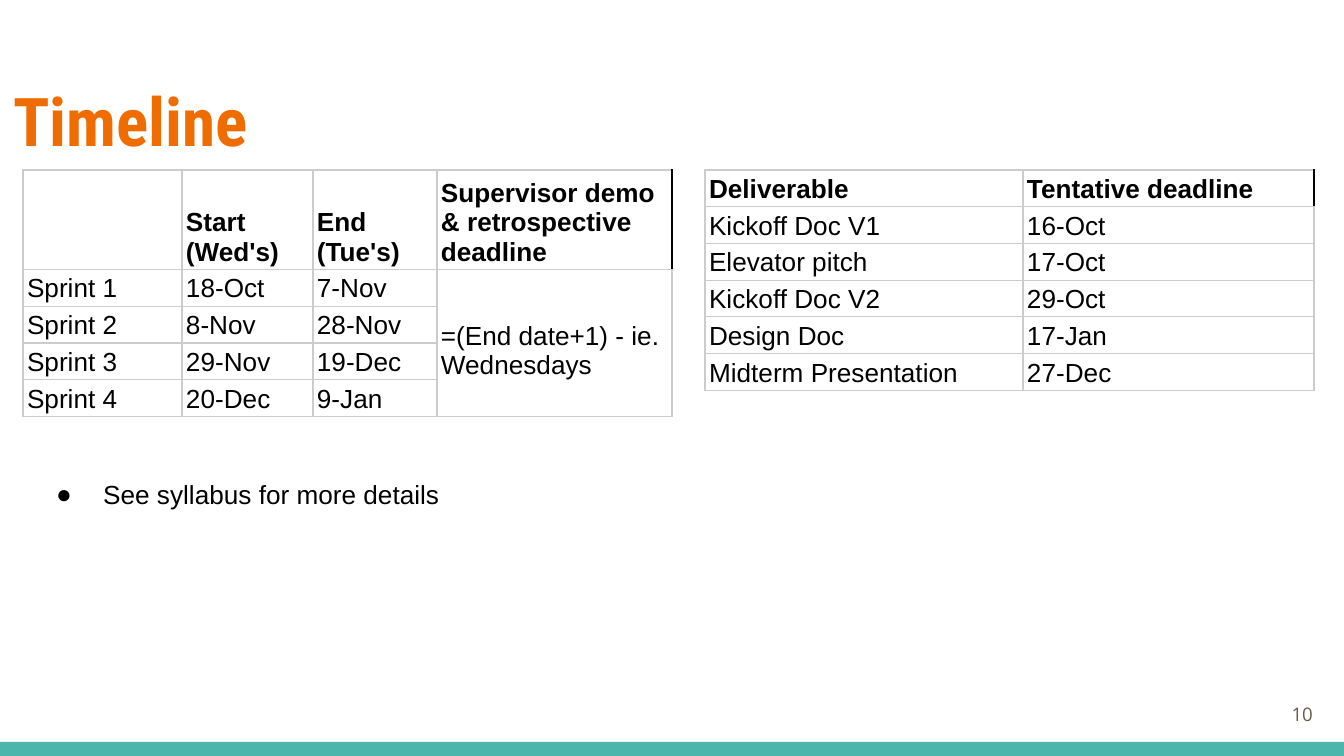
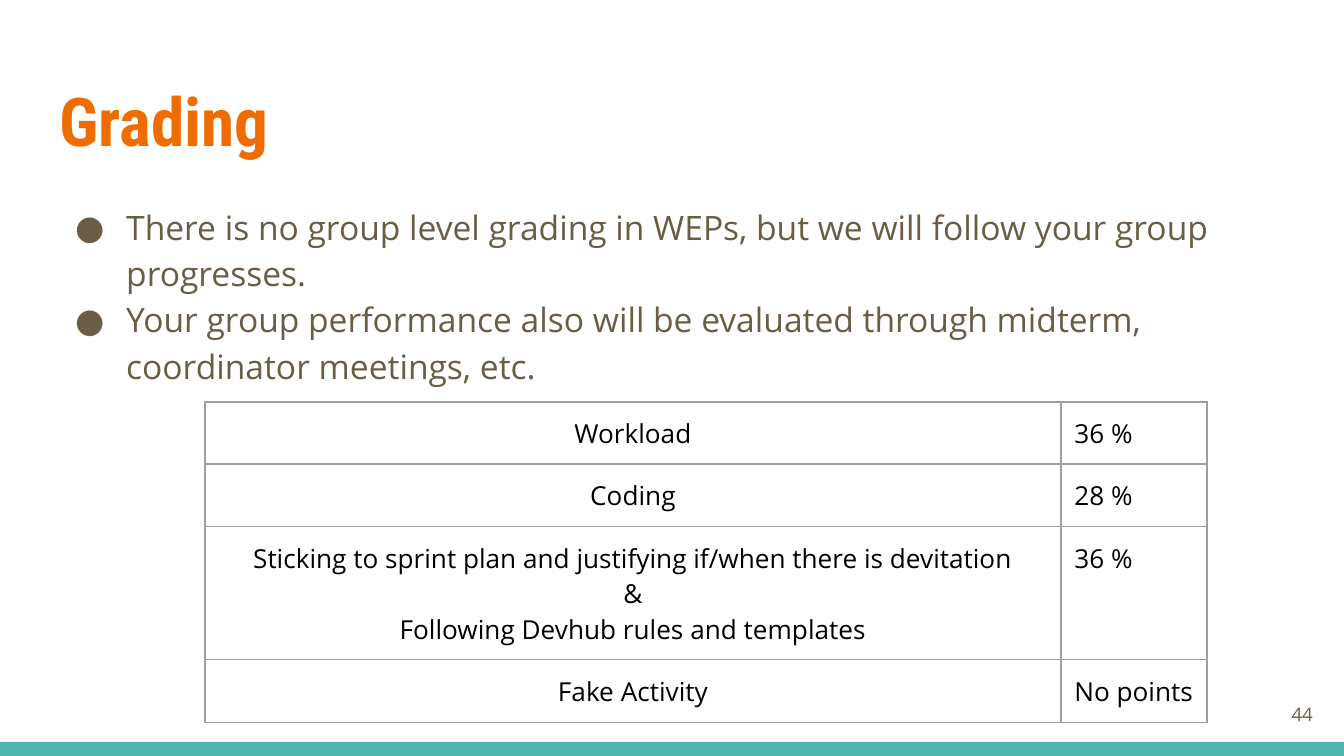
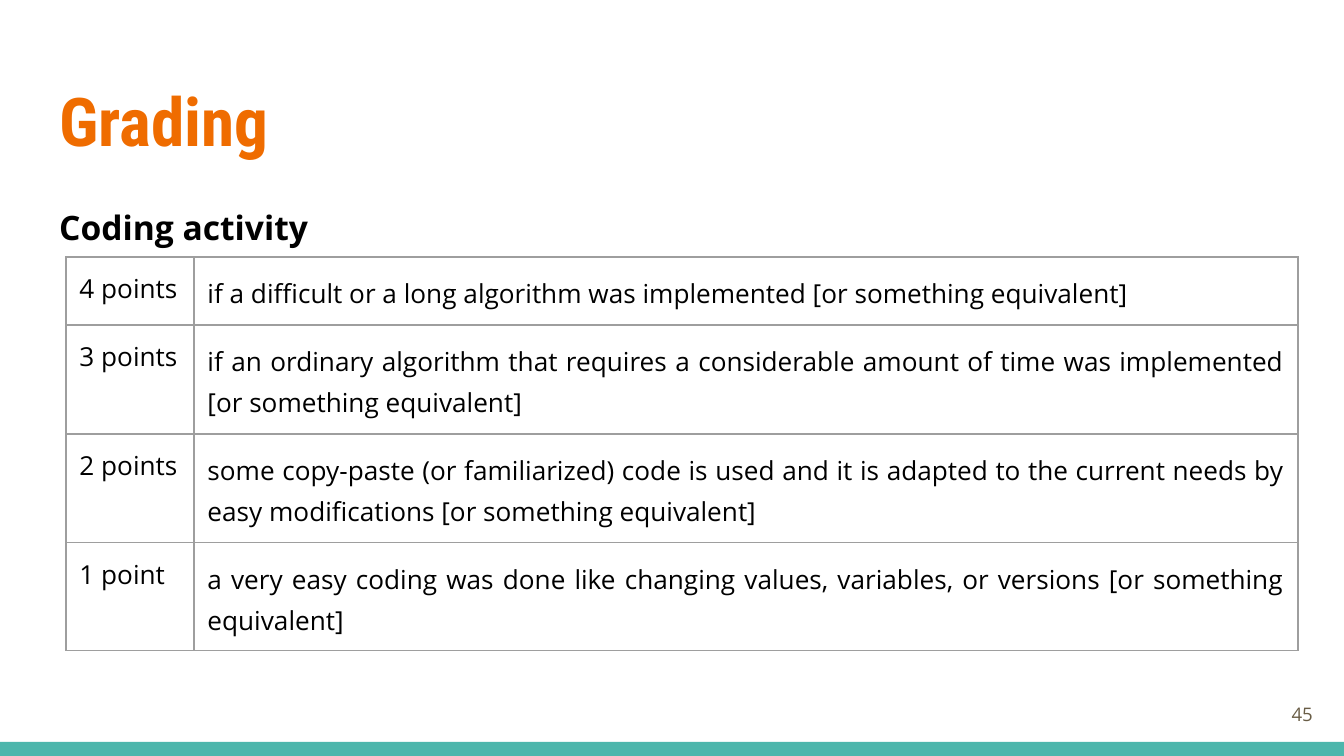
import pptx
import pptx.dml.color
import pptx.enum.shapes
import pptx.enum.text
import pptx.oxml
import pptx.oxml.ns
import pptx.util

RGB = pptx.dml.color.RGBColor
ALIGN = pptx.enum.text.PP_ALIGN
ANCHOR = pptx.enum.text.MSO_ANCHOR
Inches = pptx.util.Inches

TEAL = RGB(0x4D, 0xB6, 0xAC)
ORANGE = RGB(0xEF, 0x6C, 0x00)
BROWN = RGB(0x69, 0x5D, 0x46)
BLACK = RGB(0x00, 0x00, 0x00)
WHITE = RGB(0xFF, 0xFF, 0xFF)
LIGHT_GREY = RGB(0xCC, 0xCC, 0xCC)
MID_GREY = RGB(0x9E, 0x9E, 0x9E)

HEADING_FONT, BODY_FONT, SHEET_FONT = "Roboto Condensed", "Open Sans", "Arial"
SLIDE_W, SLIDE_H, BAND_H = 1344, 756, 14
EMU_PER_PX = 914400 / 134.4
INSET = Inches(0.1)
SHEET_INSETS = (Inches(0.03), Inches(0.02))
LEFT = 46
TEXT_W = 1252
BODY_BOX = (LEFT, 187, TEXT_W, 485)

SPRINTS = [
    ["", "Start (Wed's)", "End (Tue's)", "Supervisor demo & retrospective deadline"],
    ["Sprint 1", "18-Oct", "7-Nov", "=(End date+1) - ie. Wednesdays"],
    ["Sprint 2", "8-Nov", "28-Nov", ""],
    ["Sprint 3", "29-Nov", "19-Dec", ""],
    ["Sprint 4", "20-Dec", "9-Jan", ""],
]
DELIVERABLES = [
    ["Deliverable", "Tentative deadline"],
    ["Kickoff Doc V1", "16-Oct"],
    ["Elevator pitch", "17-Oct"],
    ["Kickoff Doc V2", "29-Oct"],
    ["Design Doc", "17-Jan"],
    ["Midterm Presentation", "27-Dec"],
]
SYLLABUS_NOTE = ["See syllabus for more details"]
GRADING_NOTES = [
    "There is no group level grading in WEPs, but we will follow your group progresses.",
    "Your group performance also will be evaluated through midterm, "
    "coordinator meetings, etc.",
]
WEIGHTS = [
    ["Workload", "36 %"],
    ["Coding", "28 %"],
    ["Sticking to sprint plan and justifying if/when there is devitation\n&\n"
     "Following Devhub rules and templates", "36 %"],
    ["Fake Activity", "No points"],
]
CODING_POINTS = [
    ["4 points", "if a difficult or a long algorithm was implemented "
                 "[or something equivalent]"],
    ["3 points", "if an ordinary algorithm that requires a considerable amount of time "
                 "was implemented [or something equivalent]"],
    ["2 points", "some copy-paste (or familiarized) code is used and it is adapted to the "
                 "current needs by easy modifications [or something equivalent]"],
    ["1 point", "a very easy coding was done like changing values, variables, or versions "
                "[or something equivalent]"],
]


def px(length):
    return pptx.util.Emu(round(length * EMU_PER_PX))


def style(paragraph, font, size, color, bold=False, align=None, spacing=None):
    paragraph.font.name = font
    paragraph.font.size = pptx.util.Pt(size)
    paragraph.font.color.rgb = color
    paragraph.font.bold = bold
    if align is not None:
        paragraph.alignment = align
    if spacing:
        paragraph.line_spacing = spacing


def add_bullet(paragraph, color, font, hanging):
    props = paragraph._p.get_or_add_pPr()
    props.set("marL", str(px(67)))
    props.set("indent", str(-px(hanging)))
    namespace = pptx.oxml.ns.nsdecls("a")
    for xml in (f'<a:buClr {namespace}><a:srgbClr val="{color}"/></a:buClr>',
                f'<a:buFont {namespace} typeface="{font}"/>',
                f'<a:buChar {namespace} char="●"/>'):
        props.insert_element_before(pptx.oxml.parse_xml(xml), "a:tabLst", "a:defRPr", "a:extLst")


def set_insets(holder, across, down):
    """Set the margins of a text frame or a table cell."""
    holder.margin_left = holder.margin_right = across
    holder.margin_top = holder.margin_bottom = down


def add_text(slide, box, lines, font, size, color, anchor=ANCHOR.TOP, hanging=None, **look):
    """Write one paragraph per line; a hanging indent makes them bullets."""
    frame = slide.shapes.add_textbox(*map(px, box)).text_frame
    frame.word_wrap = True
    frame.vertical_anchor = anchor
    set_insets(frame, INSET, INSET)
    frame.text = "\n".join(lines)
    for paragraph in frame.paragraphs:
        style(paragraph, font, size, color, **look)
        if hanging:
            add_bullet(paragraph, color, font, hanging)


def set_borders(cell, color, right_color):
    props = cell._tc.get_or_add_tcPr()
    for side in "LRTB":
        line_color = right_color if side == "R" else color
        props.append(pptx.oxml.parse_xml(
            f'<a:ln{side} {pptx.oxml.ns.nsdecls("a")} w="9525"><a:solidFill>'
            f'<a:srgbClr val="{line_color}"/></a:solidFill></a:ln{side}>'))


def add_grid(slide, left, top, widths, heights, rows, font, border,
             insets=(INSET, INSET), anchor=ANCHOR.TOP, header=False, column_looks=None):
    """Add a bordered table; column_looks maps a column to paragraph settings."""
    table = slide.shapes.add_table(len(rows), len(widths), px(left), px(top),
                                   px(sum(widths)), px(sum(heights))).table
    table.first_row = table.horz_banding = False
    for column, width in zip(table.columns, widths):
        column.width = px(width)
    for r, (row, height) in enumerate(zip(rows, heights)):
        table.rows[r].height = px(height)
        is_header = header and r == 0
        for c, text in enumerate(row):
            cell = table.cell(r, c)
            cell.text = text
            cell.vertical_anchor = anchor
            set_insets(cell, *insets)
            for paragraph in cell.text_frame.paragraphs:
                style(paragraph, font, 14, BLACK, bold=is_header,
                      **(column_looks or {}).get(c, {}))
            ends_header = is_header and c == len(row) - 1
            set_borders(cell, border, BLACK if ends_header else border)
            cell.fill.background()
    return table


def add_sheet(slide, left, widths, header_height, rows):
    heights = [header_height] + [35] * (len(rows) - 1)
    return add_grid(slide, left, 170, widths, heights, rows, SHEET_FONT, LIGHT_GREY,
                    insets=SHEET_INSETS, anchor=ANCHOR.BOTTOM, header=True)


def start_slide(deck, title, number, title_left=LEFT):
    slide = deck.slides.add_slide(deck.slide_layouts[6])
    slide.background.fill.solid()
    slide.background.fill.fore_color.rgb = WHITE
    band = slide.shapes.add_shape(pptx.enum.shapes.MSO_SHAPE.RECTANGLE, 0,
                                  px(SLIDE_H - BAND_H), px(SLIDE_W), px(BAND_H))
    band.shadow.inherit = False
    band.fill.solid()
    band.fill.fore_color.rgb = TEAL
    band.line.fill.background()
    add_text(slide, (title_left, 66, TEXT_W, 103), [title], HEADING_FONT, 36, ORANGE, bold=True)
    add_text(slide, (1246, 685, 80, 58), [str(number)], BODY_FONT, 10, BROWN,
             anchor=ANCHOR.MIDDLE, align=ALIGN.RIGHT)
    return slide


def build_timeline(deck):
    slide = start_slide(deck, "Timeline", 10, title_left=0)
    sprints = add_sheet(slide, 23, [159, 131, 124, 235], 94, SPRINTS)
    demo_rule = sprints.cell(1, 3)
    demo_rule.merge(sprints.cell(4, 3))
    demo_rule.vertical_anchor = ANCHOR.MIDDLE
    demo_rule.margin_top = px(19)
    add_sheet(slide, 705, [318, 291], 35, DELIVERABLES)
    add_text(slide, (23, 465, 441, 59), SYLLABUS_NOTE, SHEET_FONT, 14, BLACK, hanging=47)


def build_weights(deck):
    slide = start_slide(deck, "Grading", 44)
    add_text(slide, BODY_BOX, GRADING_NOTES, BODY_FONT, 18, BROWN, hanging=51, spacing=1.15)
    add_grid(slide, 205, 402, [856, 146], [62, 63, 133, 63], WEIGHTS, BODY_FONT, MID_GREY,
             column_looks={0: {"align": ALIGN.CENTER}})


def build_coding_points(deck):
    slide = start_slide(deck, "Grading", 45)
    justified = {"align": ALIGN.JUSTIFY, "spacing": 1.15}
    add_text(slide, BODY_BOX, ["Coding activity"], BODY_FONT, 18, BLACK, bold=True, **justified)
    add_grid(slide, 66, 257, [128, 1104], [68, 109, 109, 108], CODING_POINTS, BODY_FONT,
             MID_GREY, column_looks={1: justified})


def main():
    deck = pptx.Presentation()
    deck.slide_width, deck.slide_height = px(SLIDE_W), px(SLIDE_H)
    build_timeline(deck)
    build_weights(deck)
    build_coding_points(deck)
    deck.save("out.pptx")


if __name__ == "__main__":
    main()
